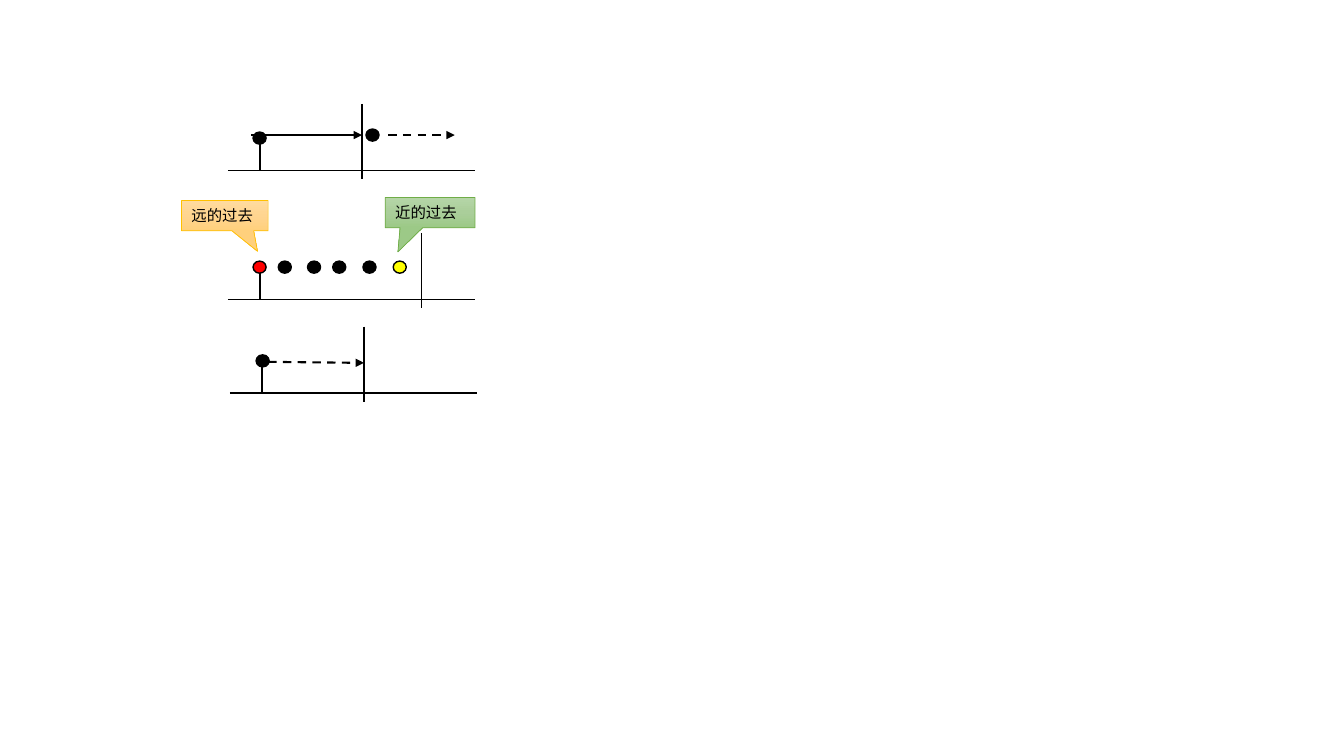
from copy import deepcopy

from lxml import etree
from pptx import Presentation
from pptx.dml.color import RGBColor
from pptx.enum import dml, shapes, text
from pptx.oxml import ns
from pptx.util import Inches, Pt

BLACK = RGBColor(0x00, 0x00, 0x00)
RED = RGBColor(0xFF, 0x00, 0x00)
YELLOW = RGBColor(0xFF, 0xFF, 0x00)
GOLD = RGBColor(0xFF, 0xC0, 0x00)
GREEN = RGBColor(0x70, 0xAD, 0x47)
GOLD_STOPS = (RGBColor(0xFF, 0xDB, 0x9E), RGBColor(0xFF, 0xD5, 0x90), RGBColor(0xFF, 0xD0, 0x7C))
GREEN_STOPS = (RGBColor(0xB5, 0xD5, 0xA7), RGBColor(0xAA, 0xCE, 0x9A), RGBColor(0x9C, 0xC9, 0x87))


class TenseDiagram:
    font = "Calibri"
    font_size = Pt(11)
    dot_size = (Inches(0.13), Inches(0.12))

    def __init__(self, slide):
        self.s = slide

    def line(self, x1, y1, x2, y2, width=1):
        c = self.s.shapes.add_connector(
            shapes.MSO_CONNECTOR.STRAIGHT, Inches(x1), Inches(y1), Inches(x2), Inches(y2))
        c.line.color.rgb = BLACK
        c.line.width = Pt(width)
        etree.SubElement(c._element.spPr, ns.qn("a:effectLst"))
        return c

    def arrow(self, x1, y1, x2, y2, dashed=False):
        c = self.line(x1, y1, x2, y2, 1.5 if dashed else 1)
        if dashed:
            c.line.dash_style = dml.MSO_LINE.DASH
        etree.SubElement(c.line._get_or_add_ln(), ns.qn("a:tailEnd"), type="triangle")

    def timeline(self, left, base, now):
        self.line(left, base, left + 2.45, base)
        self.line(now, base - 0.66, now, base + 0.09)
        self.line(left + 0.32, base - 0.27, left + 0.32, base)

    def dot(self, x, y, color=BLACK):
        sp = self.s.shapes.add_shape(shapes.MSO_SHAPE.OVAL, Inches(x), Inches(y), *self.dot_size)
        sp.shadow.inherit = False
        sp.fill.solid()
        sp.fill.fore_color.rgb = color
        sp.line.color.rgb = BLACK
        sp.line.width = Pt(1)

    def callout(self, label, x, y, w, pointer, stops, border):
        sp = self.s.shapes.add_shape(
            shapes.MSO_SHAPE.RECTANGULAR_CALLOUT, Inches(x), Inches(y), Inches(w), Inches(0.3))
        sp.shadow.inherit = False
        sp.adjustments[0], sp.adjustments[1] = pointer
        sp.line.color.rgb = border
        sp.line.width = Pt(0.5)
        sp.fill.gradient()
        sp.fill.gradient_angle = 270
        first = sp._element.spPr.find(".//" + ns.qn("a:gs"))
        first.addnext(deepcopy(first))
        for stop, position, color in zip(sp.fill.gradient_stops, (0, 0.5, 1), stops):
            stop.position = position
            stop.color.rgb = color
        tf = sp.text_frame
        tf.text = label
        tf.word_wrap = True
        tf.vertical_anchor = text.MSO_ANCHOR.MIDDLE
        p = tf.paragraphs[0]
        p.alignment = text.PP_ALIGN.LEFT
        r = p.runs[0]
        r.font.name = self.font
        r.font.size = self.font_size
        r.font.color.rgb = BLACK


def main():
    prs = Presentation()
    prs.slide_width, prs.slide_height = Inches(13.33), Inches(7.5)
    d = TenseDiagram(prs.slides.add_slide(prs.slide_layouts[6]))

    d.timeline(2.26, 1.69, 3.59)
    d.dot(2.51, 1.31)
    d.dot(3.63, 1.28)
    d.arrow(2.49, 1.34, 3.59, 1.34)
    d.arrow(3.85, 1.34, 4.51, 1.34, dashed=True)

    d.timeline(2.26, 2.97, 4.18)
    d.dot(2.51, 2.59, RED)
    for x in (2.76, 3.05, 3.3, 3.6):
        d.dot(x, 2.59)
    d.dot(3.9, 2.59, YELLOW)
    d.callout("远的过去", 1.8, 1.99, 0.86, (0.378, 1.179), GOLD_STOPS, GOLD)
    d.callout("近的过去", 3.82, 1.96, 0.89, (-0.358, 1.298), GREEN_STOPS, GREEN)

    d.timeline(2.28, 3.9, 3.61)
    d.dot(2.54, 3.52)
    d.arrow(2.66, 3.59, 3.61, 3.6, dashed=True)

    prs.save("out.pptx")


if __name__ == "__main__":
    main()
